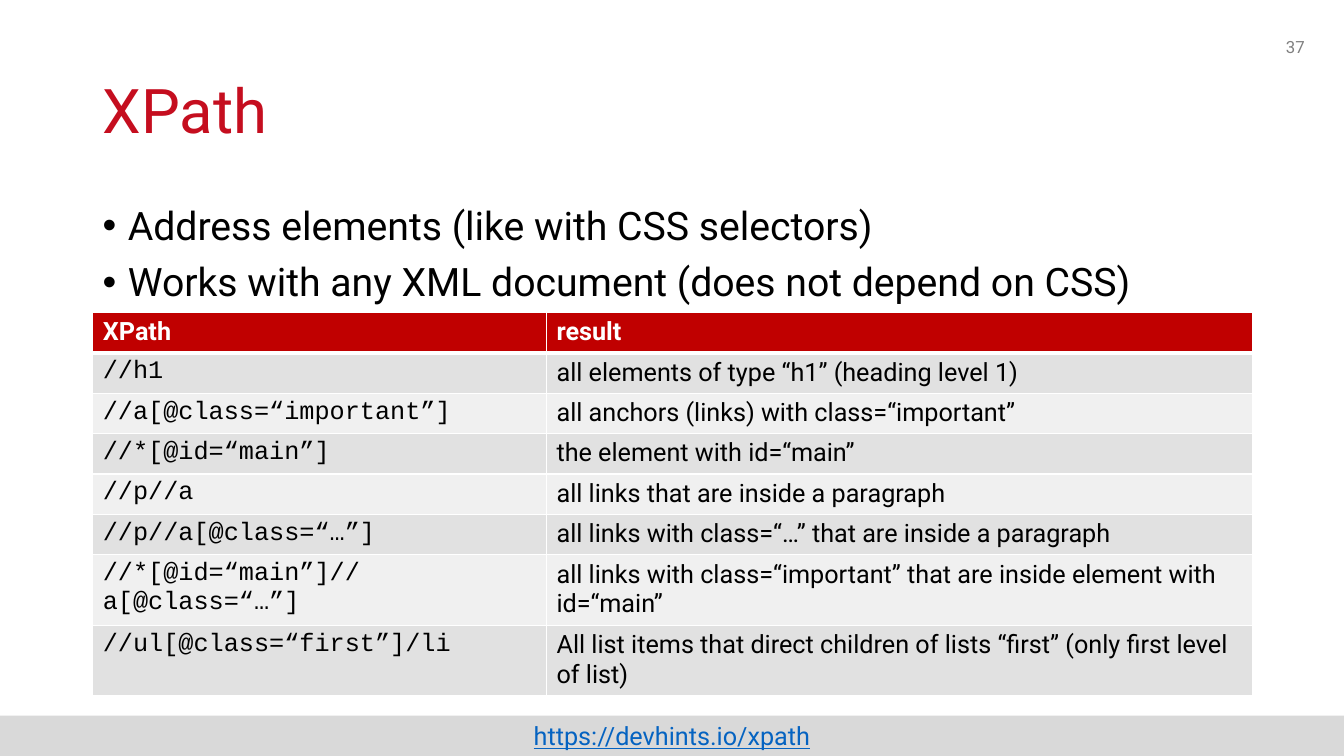
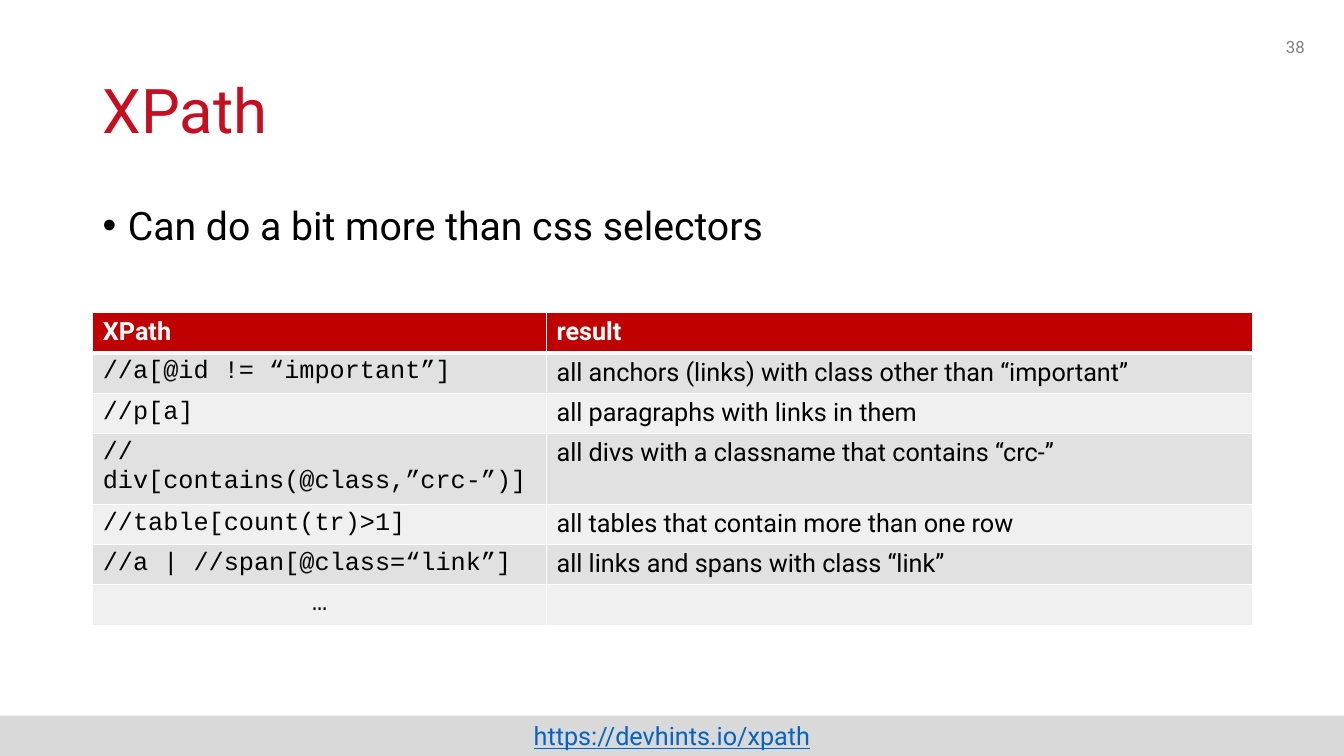
"""Build two XPath reference slides that share a title, bullets, table and footer band."""
from dataclasses import dataclass

from lxml.etree import SubElement
from pptx import Presentation
from pptx.dml.color import RGBColor as RGB
from pptx.enum.shapes import MSO_SHAPE as Shape
from pptx.enum.text import MSO_ANCHOR as Anchor, MSO_AUTO_SIZE as AutoSize, PP_ALIGN as Align
from pptx.oxml.ns import qn
from pptx.util import Inches, Pt

FIRST_NUMBER = 37
SOURCE = "https://devhints.io/xpath"
HEADER = ("XPath", "result")
SLIDES = [
    {
        "title": "XPath",
        "bullets": [
            "Address elements (like with CSS selectors)",
            "Works with any XML document (does not depend on CSS)",
        ],
        "rows": [
            ("//h1", "all elements of type “h1” (heading level 1)"),
            ("//a[@class=“important”]", "all anchors (links) with class=“important”"),
            ("//*[@id=“main”]", "the element with id=“main”"),
            ("//p//a", "all links that are inside a paragraph"),
            ("//p//a[@class=“…”]", "all links with class=“…” that are inside a paragraph"),
            ("//*[@id=“main”]//a[@class=“…”]",
             "all links with class=“important” that are inside element with id=“main”"),
            ("//ul[@class=“first”]/li",
             "All list items that direct children of lists “first” (only first level of list)"),
        ],
        "two_line_rows": {6, 7},
    },
    {
        "title": "XPath",
        "bullets": ["Can do a bit more than css selectors"],
        "rows": [
            ("//a[@id != “important”]", "all anchors (links) with class other than “important”"),
            ("//p[a]", "all paragraphs with links in them"),
            ("//div[contains(@class,”crc-”)]", "all divs with a classname that contains “crc-”"),
            ("//table[count(tr)>1]", "all tables that contain more than one row"),
            ("//a | //span[@class=“link”]", "all links and spans with class “link”"),
            ("…", ""),
        ],
        "two_line_rows": {3},
    },
]


@dataclass(frozen=True)
class Theme:
    """Colours, fonts and type sizes of the deck."""
    title: str = "C50E1F"
    header: str = "C00000"
    bands: tuple = ("E1E1E1", "F0F0F0")
    footer: str = "D9D9D9"
    link: str = "0563C1"
    number: str = "808080"
    ink: str = "000000"
    paper: str = "FFFFFF"
    text_font: str = "Roboto"
    code_font: str = "Courier New"
    title_size: int = 44
    bullet_size: int = 28
    table_size: int = 18
    number_size: int = 12


THEME = Theme()
WIDTH, HEIGHT = 13.33, 7.5
LEFT, CONTENT_WIDTH = 0.92, 11.5
TABLE_TOP = 3.1
COLUMNS = (4.5, 7)
HEADER_HEIGHT, ROW_HEIGHT, TALL_ROW_HEIGHT = 0.39, 0.4, 0.7
FOOTER_HEIGHT = 0.4


def box(left, top, width, height):
    return [Inches(length) for length in (left, top, width, height)]


def style(paragraph, size, color, font=THEME.text_font, bold=False, align=Align.LEFT):
    paragraph.alignment = align
    for run in paragraph.runs:
        run.font.name = font
        run.font.size = Pt(size)
        run.font.bold = bold
        run.font.color.rgb = RGB.from_string(color)


def add_title(slide, text):
    title = slide.shapes.title
    title.left, title.top, title.width, title.height = box(LEFT, 0.4, CONTENT_WIDTH, 1.45)
    frame = title.text_frame
    frame.text = text
    frame.auto_size = AutoSize.NONE
    frame.vertical_anchor = Anchor.MIDDLE
    frame.paragraphs[0].line_spacing = 0.9
    style(frame.paragraphs[0], THEME.title_size, THEME.title)


def add_bullets(slide, bullets):
    frame = slide.shapes.add_textbox(*box(LEFT, 2, CONTENT_WIDTH, TABLE_TOP - 2)).text_frame
    frame.word_wrap = True
    frame.text = "\n".join(bullets)
    for index, paragraph in enumerate(frame.paragraphs):
        properties = paragraph._p.get_or_add_pPr()
        properties.set("marL", str(Inches(0.25)))
        properties.set("indent", str(-Inches(0.25)))
        SubElement(properties, qn("a:buFont"), typeface="Arial")
        SubElement(properties, qn("a:buChar"), char="•")
        paragraph.line_spacing = 0.9
        if index:
            paragraph.space_before = Pt(10)
        style(paragraph, THEME.bullet_size, THEME.ink)


def add_number(slide, number):
    frame = slide.shapes.add_textbox(*box(10.04, 0.26, 3, 0.4)).text_frame
    frame.word_wrap = True
    frame.vertical_anchor = Anchor.MIDDLE
    frame.text = str(number)
    style(frame.paragraphs[0], THEME.number_size, THEME.number, align=Align.RIGHT)


def add_footer(slide):
    band = slide.shapes.add_shape(
        Shape.RECTANGLE, *box(0, HEIGHT - FOOTER_HEIGHT, WIDTH, FOOTER_HEIGHT))
    band.shadow.inherit = False
    band.fill.solid()
    band.fill.fore_color.rgb = RGB.from_string(THEME.footer)
    band.line.fill.background()
    frame = band.text_frame
    frame.vertical_anchor = Anchor.TOP
    frame.text = SOURCE
    style(frame.paragraphs[0], THEME.table_size, THEME.link, align=Align.CENTER)
    frame.paragraphs[0].runs[0].font.underline = True


def set_borders(cell, **widths):
    properties = cell._tc.get_or_add_tcPr()
    for side in "LRTB":
        line = SubElement(properties, qn(f"a:ln{side}"), w=str(Pt(widths.get(side, 1))))
        fill = SubElement(line, qn("a:solidFill"))
        SubElement(fill, qn("a:srgbClr"), val=THEME.paper)


def fill_cell(cell, text, row, column):
    set_borders(cell, **{0: {"B": 3}, 1: {"T": 3}}.get(row, {}))
    cell.fill.solid()
    background = THEME.bands[(row - 1) % 2] if row else THEME.header
    cell.fill.fore_color.rgb = RGB.from_string(background)
    cell.text_frame.text = text
    font = THEME.code_font if row and column == 0 else THEME.text_font
    style(cell.text_frame.paragraphs[0], THEME.table_size,
          THEME.ink if row else THEME.paper, font, bold=row == 0,
          align=Align.CENTER if text == "…" else Align.LEFT)


def add_examples(slide, examples, two_line_rows):
    rows = [HEADER, *examples]
    heights = [HEADER_HEIGHT] + [
        TALL_ROW_HEIGHT if row in two_line_rows else ROW_HEIGHT for row in range(1, len(rows))]
    table = slide.shapes.add_table(
        len(rows), len(COLUMNS), *box(LEFT, TABLE_TOP, CONTENT_WIDTH, sum(heights))).table
    for column, width in zip(table.columns, COLUMNS):
        column.width = Inches(width)
    for row, (texts, height) in enumerate(zip(rows, heights)):
        table.rows[row].height = Inches(height)
        for column, text in enumerate(texts):
            fill_cell(table.cell(row, column), text, row, column)


def main():
    deck = Presentation()
    deck.slide_width, deck.slide_height = Inches(WIDTH), Inches(HEIGHT)
    title_only = deck.slide_layouts[5]
    for number, content in enumerate(SLIDES, FIRST_NUMBER):
        slide = deck.slides.add_slide(title_only)
        add_title(slide, content["title"])
        add_bullets(slide, content["bullets"])
        add_number(slide, number)
        add_footer(slide)
        add_examples(slide, content["rows"], content["two_line_rows"])
    deck.save("out.pptx")


if __name__ == "__main__":
    main()
